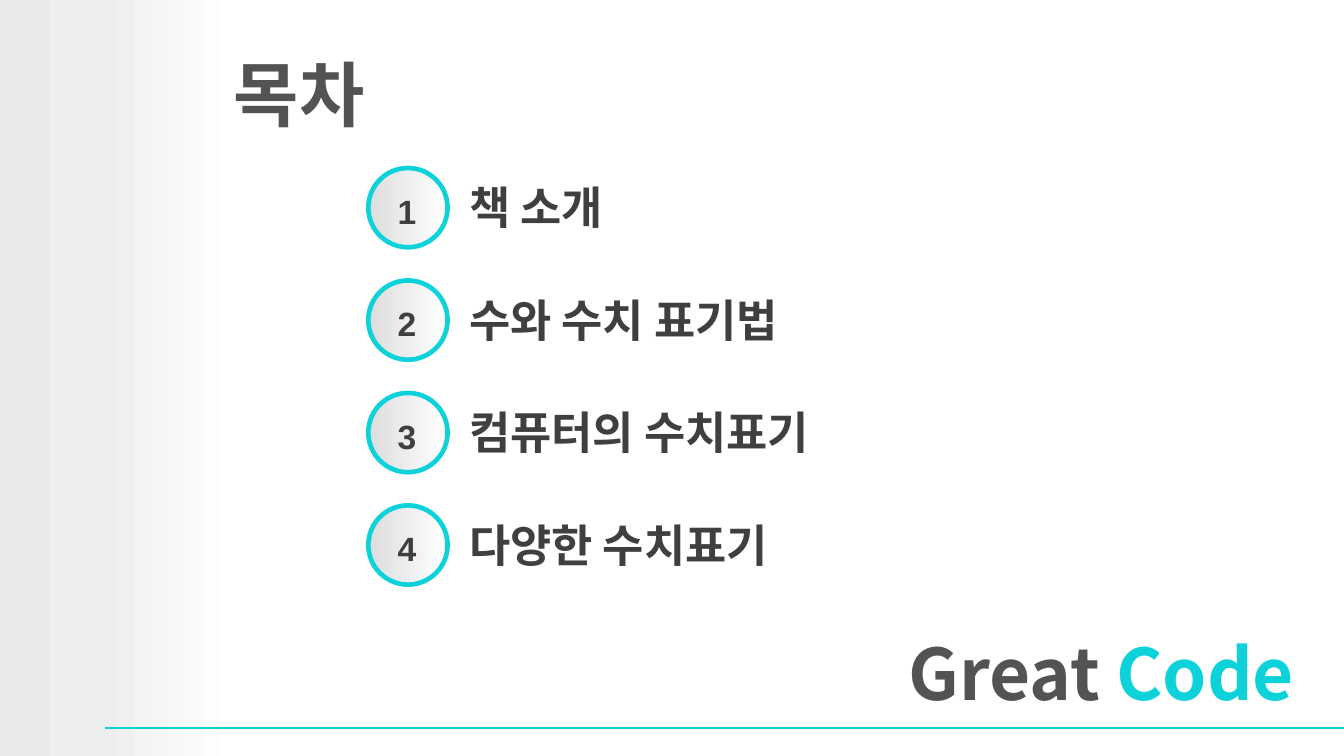
from dataclasses import dataclass

from lxml import etree
from pptx import Presentation
from pptx.dml.color import RGBColor
from pptx.enum import shapes, text
from pptx.oxml.ns import qn
from pptx.util import Pt


@dataclass(frozen=True)
class Theme:
    heading_font: str = "Noto Sans CJK KR"
    number_font: str = "Arial"
    accent: str = "0DD2D9"
    heading: str = "535353"
    body: str = "3F3F3F"
    side_stops: tuple = ((0, "EAEAEA"), (42, "EEEEEE"), (100, "FFFFFF"))
    badge_stops: tuple = ((0, "DDDDDD"), (100, "FFFFFF"))
    heading_size: int = 38
    item_size: int = 24
    number_size: int = 18


THEME = Theme()
ITEMS = ["책 소개", "수와 수치 표기법", "컴퓨터의 수치표기", "다양한 수치표기"]
FIRST_TOP, PITCH = 90, 60.25


def box(left, top, width, height):
    return Pt(left), Pt(top), Pt(width), Pt(height)


def apply(target, formats):
    for name, value in formats.items():
        setattr(target, name, value)


def fill_gradient(sp, stops):
    sp.fill.gradient()
    sp.fill.gradient_angle = 0
    gs_list = sp._element.spPr.find(".//" + qn("a:gsLst"))
    for gs in list(gs_list):
        gs_list.remove(gs)
    for pos, color in stops:
        gs = etree.SubElement(gs_list, qn("a:gs"), pos=str(pos * 1000))
        etree.SubElement(gs, qn("a:srgbClr"), val=color)


def add_shape(parent, kind, place, stops):
    sp = parent.add_shape(kind, *place)
    sp.shadow.inherit = False
    fill_gradient(sp, stops)
    sp.line.fill.background()
    return sp


def add_rule(slide, x1, x2, y):
    line = slide.shapes.add_connector(
        shapes.MSO_CONNECTOR.STRAIGHT, Pt(x1), Pt(y), Pt(x2), Pt(y))
    line.line.color.rgb = RGBColor.from_string(THEME.accent)
    line.line.width = Pt(1)
    etree.SubElement(line._element.spPr, qn("a:effectLst"))


def write(sp, runs, font, size, frame=None, para=None):
    tf = sp.text_frame
    margins = ("margin_left", "margin_top", "margin_right", "margin_bottom")
    apply(tf, dict.fromkeys(margins, Pt(3.6)))
    apply(tf, {"word_wrap": True, "auto_size": text.MSO_AUTO_SIZE.NONE,
               "vertical_anchor": text.MSO_ANCHOR.MIDDLE, **(frame or {})})
    p = tf.paragraphs[0]
    apply(p, {"alignment": text.PP_ALIGN.LEFT, **(para or {})})
    for words, color in runs:
        r = p.add_run()
        r.text = words
        apply(r.font, {"name": font, "size": Pt(size), "bold": True})
        r.font.color.rgb = RGBColor.from_string(color)
        latin = r.font._element.find(qn("a:latin"))
        latin.addnext(latin.makeelement(qn("a:ea"), {"typeface": font}))


def add_heading(sp, runs):
    write(sp, runs, THEME.heading_font, THEME.heading_size)


def add_item(slide, number, label):
    top = FIRST_TOP + (number - 1) * PITCH
    group = slide.shapes.add_group_shape().shapes
    badge = add_shape(group, shapes.MSO_SHAPE.OVAL,
                      box(197.3, top, 42.5, 42.5), THEME.badge_stops)
    badge.line.color.rgb = RGBColor.from_string(THEME.accent)
    badge.line.width = Pt(2.5)
    grow = {"auto_size": text.MSO_AUTO_SIZE.SHAPE_TO_FIT_TEXT}
    write(group.add_textbox(*box(204, top + 7.2, 28, 27.4)),
          [(str(number), THEME.body)], THEME.number_font, THEME.number_size,
          grow, {"alignment": text.PP_ALIGN.CENTER, "line_spacing": 1.2})
    write(group.add_textbox(*box(247.7, top + 2.9, 276, 34)),
          [(label, THEME.body)], THEME.heading_font, THEME.item_size,
          {**grow, "vertical_anchor": text.MSO_ANCHOR.TOP})


def main():
    prs = Presentation()
    apply(prs, {"slide_width": Pt(720), "slide_height": Pt(405)})
    slide = prs.slides.add_slide(prs.slide_layouts[5])

    title = slide.shapes.title
    apply(title, dict(zip(("left", "top", "width", "height"),
                          box(483, 329.8, 595.5, 61))))
    add_heading(title, [("Great ", THEME.heading), ("Code", THEME.accent)])

    side = add_shape(slide.shapes, shapes.MSO_SHAPE.RECTANGLE,
                     box(0, 0, 127.5, 405), THEME.side_stops)
    add_rule(slide, 56.2, 720, 390.2)
    side._element.getparent().append(title._element)

    for number, label in enumerate(ITEMS, 1):
        add_item(slide, number, label)
    add_heading(slide.shapes.add_textbox(*box(121.7, 19.4, 595.5, 61)),
                [("목차", THEME.heading)])
    prs.save("out.pptx")


if __name__ == "__main__":
    main()
